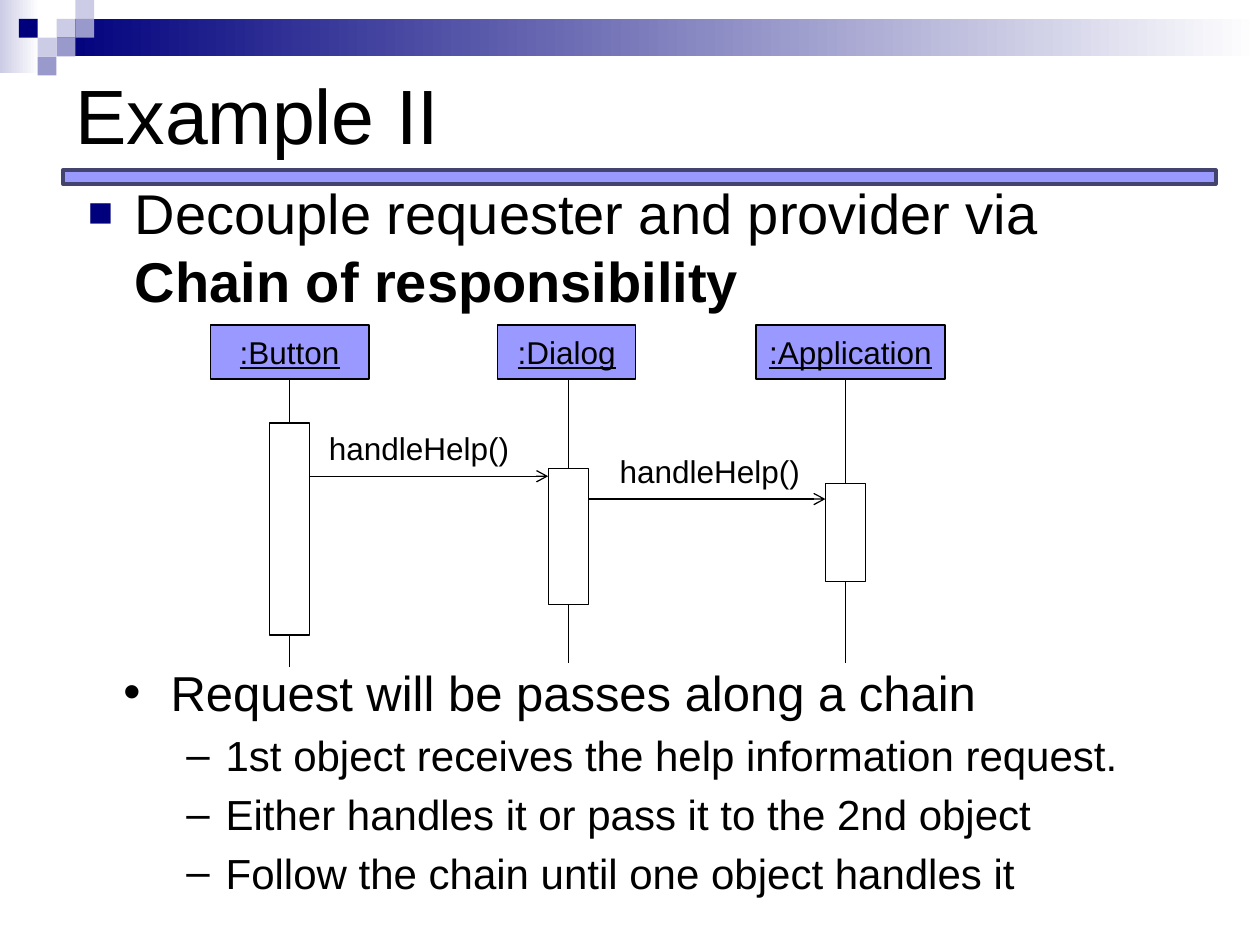
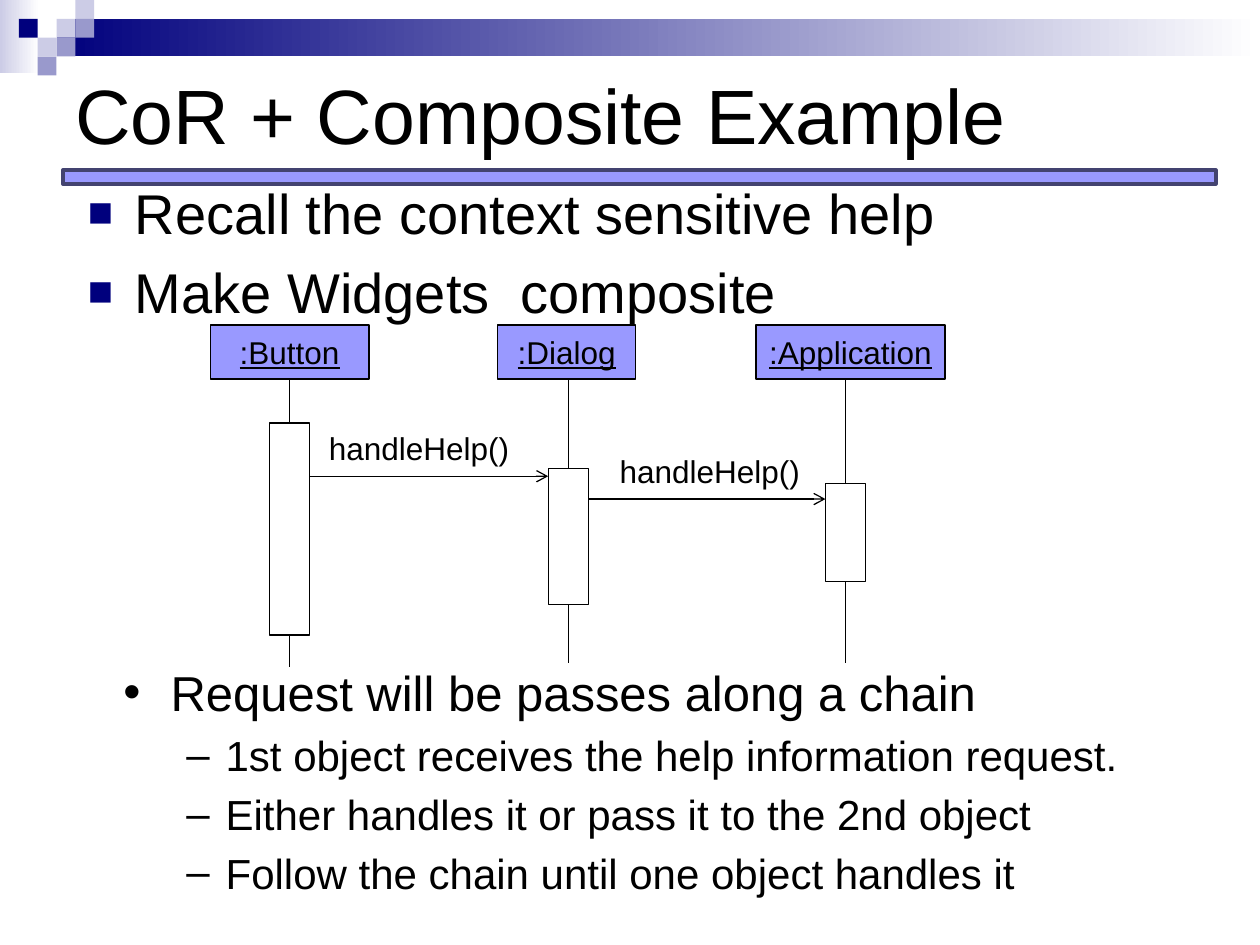
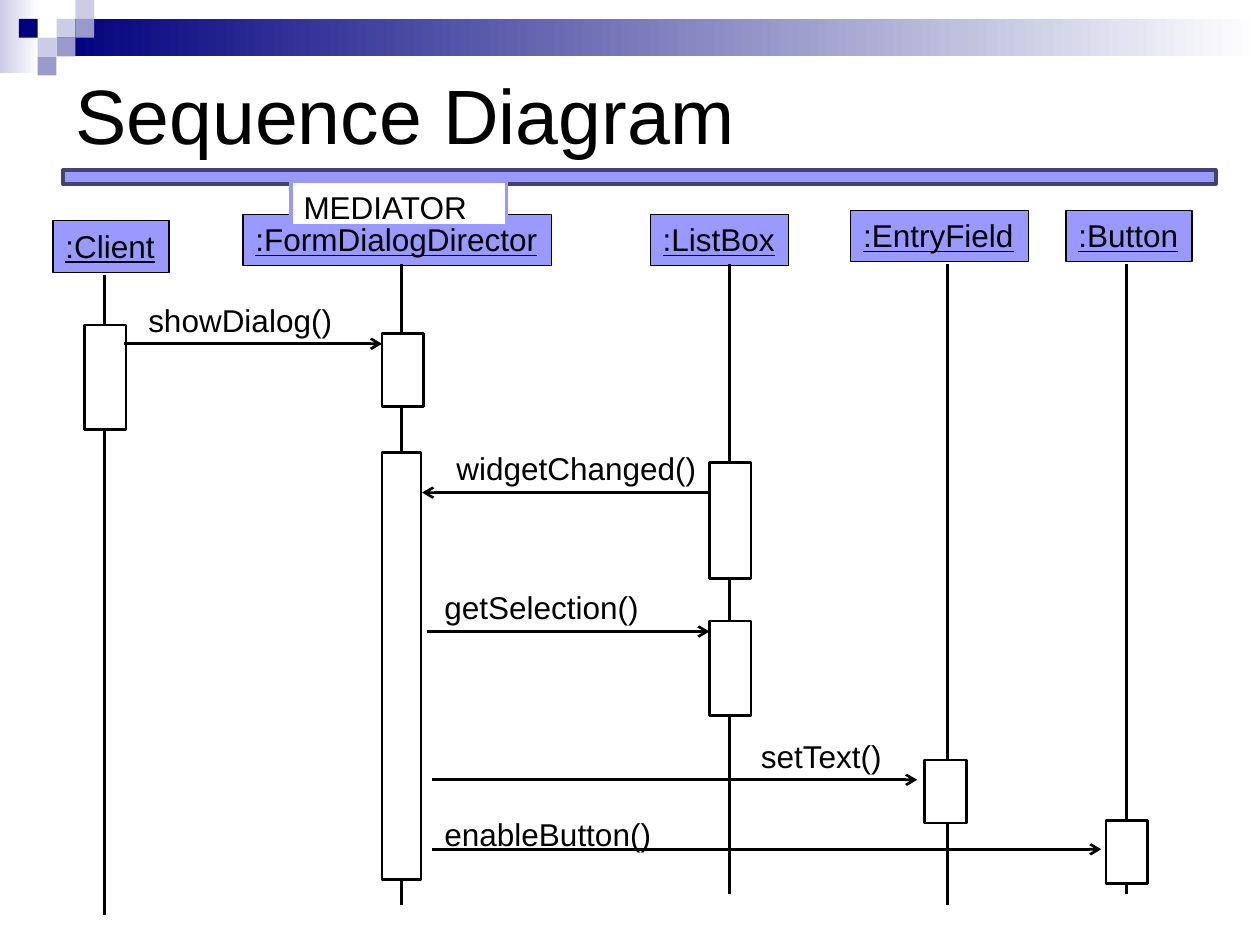
from lxml import etree
from pptx import Presentation
from pptx.dml.color import RGBColor
from pptx.enum.shapes import MSO_CONNECTOR, MSO_SHAPE
from pptx.enum.text import MSO_ANCHOR, PP_ALIGN
from pptx.oxml.ns import qn
from pptx.util import Cm, Pt

RECTANGLE = MSO_SHAPE.RECTANGLE
STRAIGHT = MSO_CONNECTOR.STRAIGHT
TOP, MIDDLE = MSO_ANCHOR.TOP, MSO_ANCHOR.MIDDLE
LEFT, CENTER = PP_ALIGN.LEFT, PP_ALIGN.CENTER

BLACK = RGBColor(0x00, 0x00, 0x00)
WHITE = RGBColor(0xFF, 0xFF, 0xFF)
NAVY = RGBColor(0x00, 0x00, 0x7D)
PALE = RGBColor(0xCC, 0xCC, 0xE6)
MID = RGBColor(0x99, 0x99, 0xCC)
VIOLET = RGBColor(0x99, 0x99, 0xFF)
SLATE = RGBColor(0x43, 0x43, 0x70)
FONT = "Arial"


def add_box(page, left, top, width, height, fill=None, line=None, weight=0.75, text="",
            size=18, underline=None, align=LEFT, anchor=TOP, wrap=False):
    """Add a filled rectangle, or a text box when there is no fill."""
    place = Cm(left), Cm(top), Cm(width), Cm(height)
    if fill is None:
        box = page.shapes.add_textbox(*place)
    else:
        box = page.shapes.add_shape(RECTANGLE, *place)
        box.shadow.inherit = False
        box.fill.solid()
        box.fill.fore_color.rgb = fill
        if line is None:
            box.line.fill.background()
        else:
            box.line.color.rgb = line
            box.line.width = Pt(weight)
    frame = box.text_frame
    frame.word_wrap = wrap
    frame.vertical_anchor = anchor
    if text:
        para = frame.paragraphs[0]
        para.text = text
        para.alignment = align
        para.font.name = FONT
        para.font.size = Pt(size)
        para.font.color.rgb = BLACK
        para.font.underline = underline
    return box


def add_line(page, x1, y1, x2, y2, weight, arrow=False):
    """Add a black line, with an open arrowhead at its end if wanted."""
    line = page.shapes.add_connector(STRAIGHT, Cm(x1), Cm(y1), Cm(x2), Cm(y2))
    line.line.color.rgb = BLACK
    line.line.width = Pt(weight)
    if arrow:
        etree.SubElement(line.line._get_or_add_ln(), qn("a:tailEnd"), type="arrow")
    etree.SubElement(line._element.spPr, qn("a:effectLst"))


deck = Presentation()
deck.slide_width, deck.slide_height = Cm(25.4), Cm(19.05)

# Shared look: gradient bands, corner squares, rule and title
SQUARE = 0.38
SQUARES = [(3, 1, PALE), (4, 0, PALE), (4, 1, MID), (2, 2, PALE),
           (1, 1, NAVY), (3, 2, MID), (2, 3, MID)]
BANDS = [(0, 0, 0.79, 1.47, PALE), (1.14, 0.38, 24.26, 0.76, NAVY)]

for title in ["Example II", "CoR + Composite Example", "Sequence Diagram"]:
    page = deck.slides.add_slide(deck.slide_layouts[6])
    for left, top, width, height, color in BANDS:
        band = add_box(page, left, top, width, height, color)
        band.fill.gradient()
        band.fill.gradient_angle = 0
        for stop, shade in zip(band.fill.gradient_stops, (color, WHITE)):
            stop.color.rgb = shade
    for column, row, color in SQUARES:
        add_box(page, column * SQUARE, row * SQUARE, SQUARE, SQUARE, color)
    add_box(page, 1.27, 3.43, 23.24, 0.28, VIOLET, SLATE, 2)
    add_box(page, 1.27, 0.38, 22.86, 3.81, text=title, size=44, anchor=MIDDLE, wrap=True)

first_page, second_page, sequence_page = deck.slides

# Chain slides: bullets as (spans, style), a span being (text, bold)
# Styles: level, size, bullet, left margin, hanging indent
POINT = (0, 32, "■", 0.95, 0.95)
NOTE = (0, 28, "•", 0.95, 0.95)
STEP = (1, 24, "–", 2.06, 0.79)
CHAIN_NOTES = [
    ([("Request will be passes along a chain", None)], NOTE),
    ([("1st object receives the help information request.", None)], STEP),
    ([("Either handles it or pass it to the 2nd object", None)], STEP),
    ([("Follow the chain until one object handles it", None)], STEP),
]
CHAIN_PAGES = [
    (first_page, [([("Decouple requester and provider via ", None),
                    ("Chain of responsibility", True)], POINT)]),
    (second_page, [([("Recall the context sensitive help", None)], POINT),
                   ([("Make Widgets  composite", None)], POINT)]),
]
# Name, header left and width, lifeline x and end, activation top and height
CHAIN_OBJECTS = [
    (":Button", 4.24, 3.2, 5.84, 13.44, 8.53, 4.27),
    (":Dialog", 10.03, 2.79, 11.46, 13.36, 9.45, 2.74),
    (":Application", 15.24, 3.81, 17.04, 13.36, 9.75, 1.98),
]
# Label left and top, arrow start, end and height
CHAIN_CALLS = [(6.38, 8.53, 6.25, 11.05, 9.6), (12.24, 8.99, 11.86, 16.64, 10.06)]
BAR = 0.81

for page, points in CHAIN_PAGES:
    # Bulleted text above and below the diagram
    upper = add_box(page, 1.52, 3.48, 22.86, 3.73, wrap=True)
    lower = add_box(page, 2.24, 13.23, 21.44, 5.23, wrap=True)
    for box, items in [(upper, points), (lower, CHAIN_NOTES)]:
        frame = box.text_frame
        for index, (spans, style) in enumerate(items):
            level, size, bullet, margin, hanging = style
            para = frame.add_paragraph() if index else frame.paragraphs[0]
            para.level = level
            para.space_before = Pt(size * 0.2)
            props = para._p.get_or_add_pPr()
            props.set("marL", str(Cm(margin)))
            props.set("indent", str(-Cm(hanging)))
            if style is POINT:
                color = etree.SubElement(props, qn("a:buClr"))
                etree.SubElement(color, qn("a:srgbClr"), val=str(NAVY))
                etree.SubElement(props, qn("a:buSzPct"), val="75000")
            etree.SubElement(props, qn("a:buFont"), typeface=FONT)
            etree.SubElement(props, qn("a:buChar"), char=bullet)
            para.font.name = FONT
            para.font.size = Pt(size)
            para.font.color.rgb = BLACK
            for text, bold in spans:
                span = para.add_run()
                span.text = text
                span.font.bold = bold

    # Objects with lifelines and activations
    for name, left, width, x, end, top, height in CHAIN_OBJECTS:
        add_line(page, x, 7.47, x, end, 0.75)
        add_box(page, x - BAR / 2, top, BAR, height, WHITE, BLACK)
        add_box(page, left, 6.55, width, 1.09, VIOLET, BLACK, text=name,
                underline=True, align=CENTER, anchor=MIDDLE)

    # Calls passed along the chain
    for left, top, start, end, y in CHAIN_CALLS:
        add_box(page, left, top, 4.14, 1.02, text="handleHelp()")
        add_line(page, start, y, end, y, 0.75, arrow=True)

# Sequence diagram: name, header left, top and width, lifeline x, start and end
OBJECTS = [
    (":Client", 1.07, 4.45, 2.34, 2.11, 5.54, 18.44),
    (":FormDialogDirector", 4.9, 4.32, 6.22, 8.1, 5.33, 18.24),
    (":ListBox", 13.11, 4.32, 2.79, 14.71, 5.33, 18.03),
    (":EntryField", 17.15, 4.24, 3.58, 19.1, 5.33, 18.24),
    (":Button", 21.49, 4.24, 2.54, 22.71, 5.33, 18.03),
]
# Left, top, width, height
ACTIVATIONS = [
    (1.7, 6.55, 0.84, 2.11),
    (7.7, 6.73, 0.84, 1.47),
    (7.7, 9.12, 0.79, 8.61),
    (14.3, 9.32, 0.84, 2.34),
    (14.3, 12.52, 0.84, 1.91),
    (18.64, 15.32, 0.84, 1.27),
    (22.3, 16.54, 0.84, 1.27),
]
# Label, its left, top and width, arrow start, end and height
MESSAGES = [
    ("showDialog()", 2.74, 5.94, 4.22, 2.49, 7.7, 6.93),
    ("widgetChanged()", 8.95, 8.92, 5.5, 14.3, 8.51, 9.93),
    ("getSelection()", 8.71, 11.73, 4.42, 8.61, 14.3, 12.73),
    ("setText()", 15.09, 14.73, 3.02, 8.71, 18.49, 15.72),
    ("enableButton()", 8.71, 16.31, 4.67, 8.71, 22.2, 17.12),
]

for name, left, top, width, x, start, end in OBJECTS:
    add_box(sequence_page, left, top, width, 1.04, VIOLET, BLACK, text=name, underline=True)
    add_line(sequence_page, x, start, x, end, 1.5)
for left, top, width, height in ACTIVATIONS:
    add_box(sequence_page, left, top, width, height, WHITE, BLACK, 1.5)
for label, left, top, width, start, end, y in MESSAGES:
    add_box(sequence_page, left, top, width, 1.02, text=label)
    add_line(sequence_page, start, y, end, y, 1.5, arrow=True)

# Role of the director
add_box(sequence_page, 5.87, 3.66, 4.34, 0.89, WHITE, VIOLET, 2, text="MEDIATOR", wrap=True)

deck.save("out.pptx")
